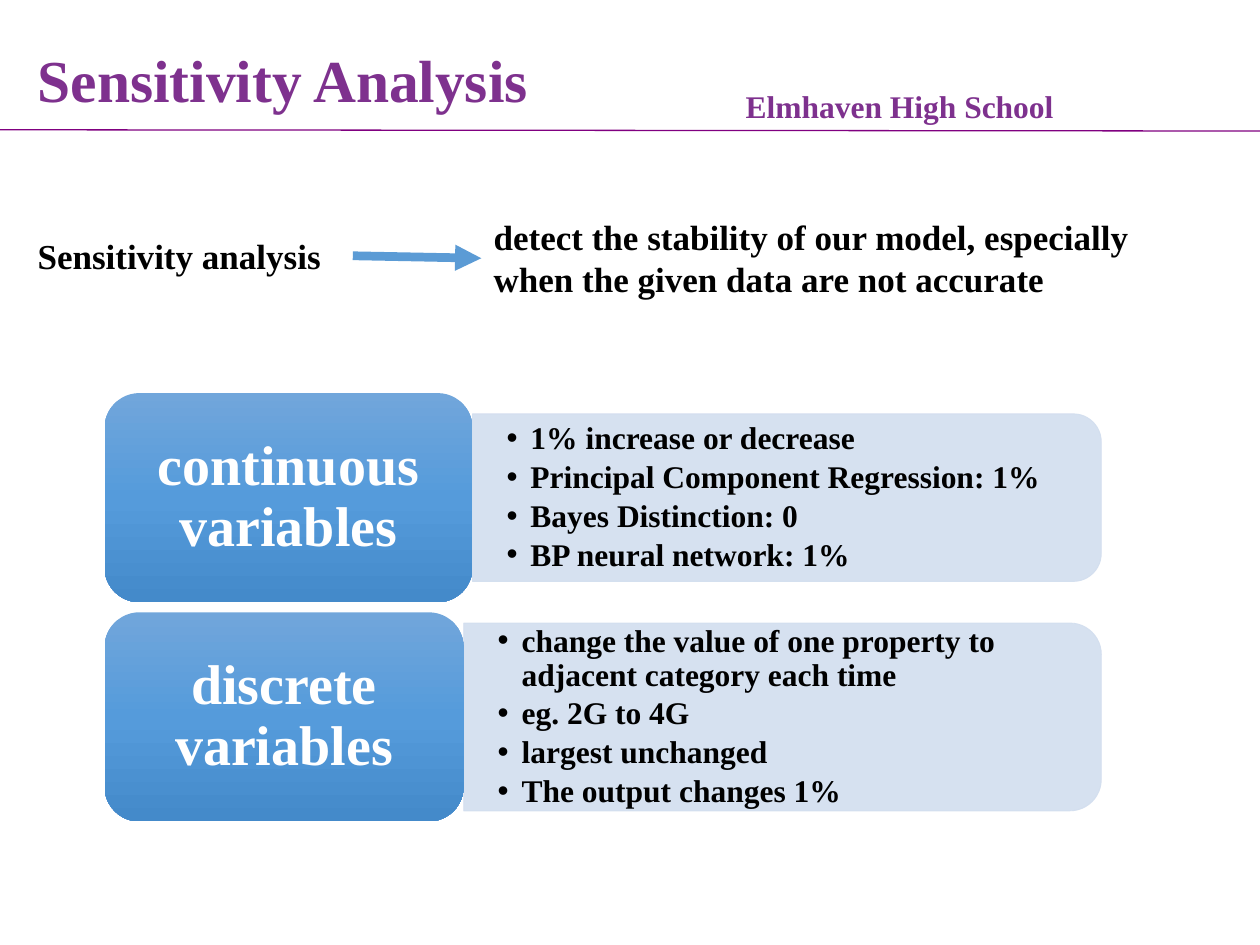
from lxml import etree
from pptx import Presentation
from pptx.dml.color import RGBColor
from pptx.enum import shapes, text
from pptx.oxml.ns import qn
from pptx.util import Inches, Pt

FONT = "Times New Roman"
COLORS = {
    "title": "7E318E", "rule": "800080", "text": "000000", "white": "FFFFFF",
    "arrow": "5B9BD5", "panel": "D2DEEF",
    "top": "71A6DB", "mid": "559BDB", "end": "448ACA",
}
SIDES = ("left", "top", "right", "bottom")


def write(shape, lines, size, color, inset=(0.1, 0.05), wrap=True,
          anchor=text.MSO_ANCHOR.TOP, align=text.PP_ALIGN.LEFT, pitch=1.0, after=0):
    """Fill a shape with bold paragraphs and return them."""
    frame = shape.text_frame
    frame.auto_size = text.MSO_AUTO_SIZE.NONE
    frame.word_wrap = wrap
    frame.vertical_anchor = anchor
    for i, side in enumerate(SIDES):
        setattr(frame, f"margin_{side}", Inches(inset[i % 2]))
    for i, line in enumerate(lines):
        par = frame.add_paragraph() if i else frame.paragraphs[0]
        par.alignment = align
        par.line_spacing = pitch
        par.space_before, par.space_after = Pt(0), Pt(after)
        run = par.add_run()
        run.text = line
        run.font.name, run.font.size, run.font.bold = FONT, Pt(size), True
        run.font.color.rgb = RGBColor.from_string(COLORS[color])
    return frame.paragraphs


def connect(start, stop, color, width):
    """Draw a straight line without shadow and return its a:ln element."""
    con = slide.shapes.add_connector(
        shapes.MSO_CONNECTOR.STRAIGHT, *map(Inches, start + stop))
    con.line.color.rgb = RGBColor.from_string(COLORS[color])
    con.line.width = Pt(width)
    line = con.element.find(".//" + qn("a:ln"))
    etree.SubElement(line.getparent(), qn("a:effectLst"))
    return line


prs = Presentation()
prs.slide_width, prs.slide_height = Inches(10), Inches(7.5)
slide = prs.slides.add_slide(prs.slide_layouts[3])
title, *bodies = slide.placeholders

# Header
title.left, title.top, title.width, title.height = map(Inches, (0.2, 0.12, 4.14, 0.77))
write(title, ["Sensitivity Analysis"], 34, "title", wrap=False, pitch=1.3)
connect((0, 1.03), (10, 1.04), "rule", 0.75)

# Labels: box, words, size, colour, wrap
labels = [
    ((5.82, 0.64, 2.56, 0.4), "Elmhaven High School", 18, "title", False),
    ((3.82, 1.66, 5.67, 0.77),
     "detect the stability of our model, especially when the given data are not accurate",
     20, "text", True),
    ((0.2, 1.81, 2.6, 0.44), "Sensitivity analysis", 20, "text", True),
]
for box, words, size, color, wrap in labels:
    label = slide.shapes.add_textbox(*map(Inches, box))
    write(label, [words], size, color, wrap=wrap)

arrow = connect((2.8, 2.03), (3.82, 2.05), "arrow", 5)
etree.SubElement(arrow, qn("a:tailEnd"), type="triangle")

# Rows: a card on the left, a panel with a list on the right
LEFT, RIGHT, TOP, HIGH, STEP = 0.83, 8.74, 3.12, 1.66, 1.74
rows = [
    ("continuous variables", 2.92, 1.33, [
        "1% increase or decrease",
        "Principal Component Regression: 1%",
        "Bayes Distinction: 0",
        "BP neural network: 1%",
    ]),
    ("discrete variables", 2.85, 1.49, [
        "change the value of one property to adjacent category each time",
        "eg. 2G to 4G",
        "largest unchanged",
        "The output changes 1%",
    ]),
]
for i, (name, wide, tall, items) in enumerate(rows):
    top = TOP + i * STEP
    mid = top + HIGH / 2
    edge = LEFT + wide
    long = RIGHT - edge

    # The panel is turned, so its width and height trade places
    panel = slide.shapes.add_shape(
        shapes.MSO_SHAPE.ROUND_2_SAME_RECTANGLE,
        Inches((edge + RIGHT - tall) / 2), Inches(mid - long / 2),
        Inches(tall), Inches(long))
    panel.rotation = 90
    panel.shadow.inherit = False
    panel.fill.solid()
    panel.fill.fore_color.rgb = RGBColor.from_string(COLORS["panel"])
    panel.line.color.rgb = RGBColor.from_string(COLORS["panel"])
    panel.line.width = Pt(0.5)
    for tint in panel.element.spPr.iter(qn("a:srgbClr")):
        etree.SubElement(tint, qn("a:alpha"), val="90000")

    body = bodies[i]
    body.left, body.top = Inches(edge), Inches(mid - tall / 2 + 0.07)
    body.width, body.height = Inches(long - 0.07), Inches(tall - 0.14)
    body.element.getparent().append(body.element)  # in front of the panel
    for par in write(body, items, 18, "text", inset=(0.27, 0.14),
                     anchor=text.MSO_ANCHOR.MIDDLE, pitch=0.9, after=2.7):
        props = par._p.get_or_add_pPr()
        props.set("marL", str(Inches(0.19)))
        props.set("indent", str(Inches(-0.19)))
        etree.SubElement(props, qn("a:buChar"), char="•")

    card = slide.shapes.add_shape(
        shapes.MSO_SHAPE.ROUNDED_RECTANGLE,
        Inches(LEFT), Inches(top), Inches(wide), Inches(HIGH))
    card.shadow.inherit = False
    card.line.fill.background()
    card.fill.gradient()
    card.fill.gradient_angle = 270
    stops = card.element.find(".//" + qn("a:gsLst"))
    stops.clear()
    for pos, key in ((0, "top"), (50000, "mid"), (100000, "end")):
        stop = etree.SubElement(stops, qn("a:gs"), pos=str(pos))
        etree.SubElement(stop, qn("a:srgbClr"), val=COLORS[key])
    write(card, [name], 32, "white", inset=(0.21, 0.15),
          anchor=text.MSO_ANCHOR.MIDDLE, align=text.PP_ALIGN.CENTER, pitch=0.9)

prs.save("out.pptx")
